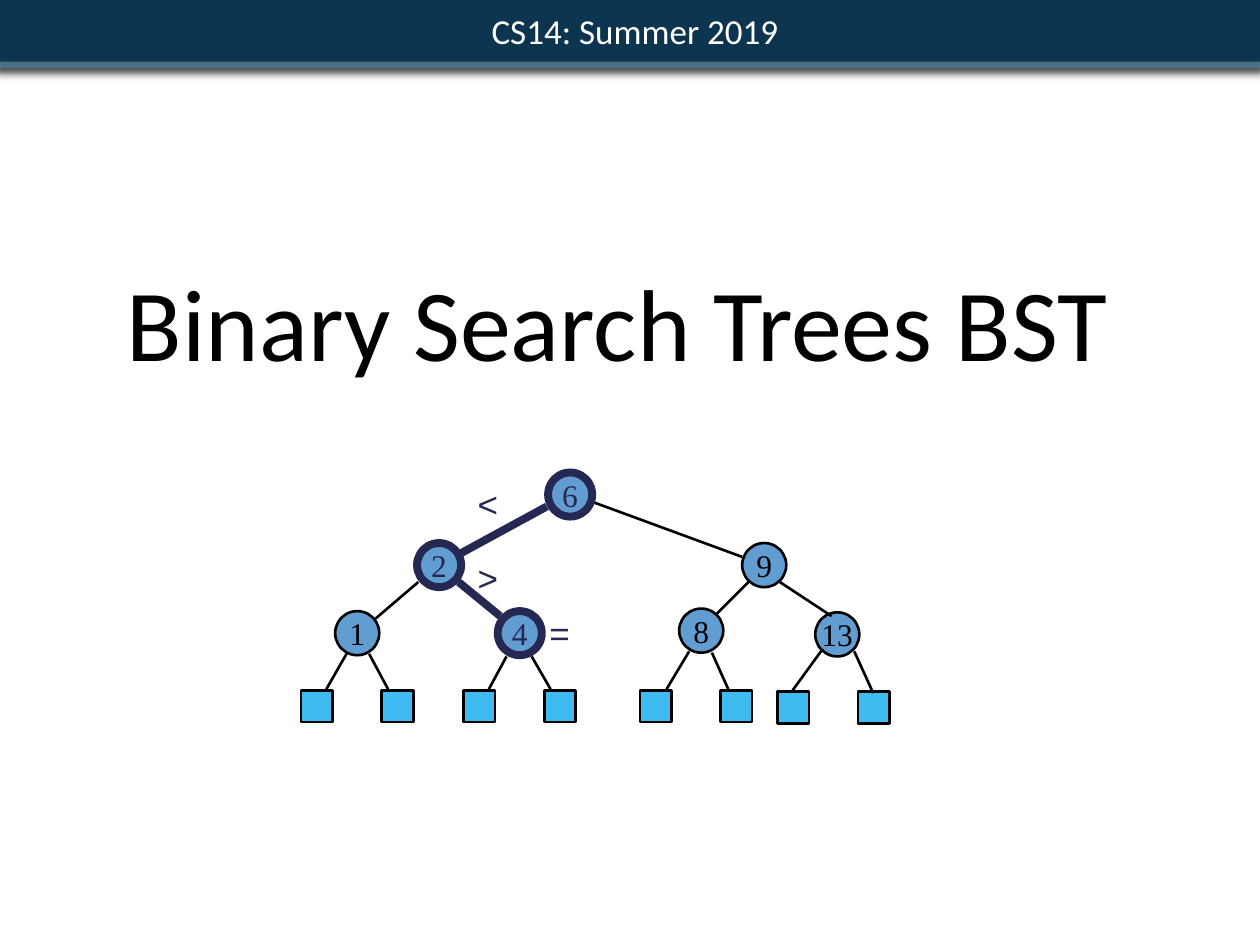
from lxml import etree
from pptx import Presentation
from pptx import util as u
from pptx.dml.color import RGBColor
from pptx.enum import shapes, text
from pptx.oxml.ns import qn

deck = Presentation()
deck.slide_width, deck.slide_height = u.Inches(10), u.Inches(7.5)
slide = deck.slides.add_slide(deck.slide_layouts[5])
CELL = deck.slide_width // 100
NAVY, BLACK = "242852", "000000"


def color(value):
    return RGBColor.from_string(value)


def cells(*counts):
    return [round(count * CELL) for count in counts]


bands = [
    ((-0.4, 0, 100.7, 5.4), "427A92", 100, BLACK, 75),
    ((-0.1, 0, 100.3, 4.9), "062F4B", 90, "5E5E5E", 50),
]
for place, fill, opacity, shade, strength in bands:
    banner = slide.shapes.add_shape(shapes.MSO_SHAPE.RECTANGLE, *cells(*place))
    banner.fill.solid()
    banner.fill.fore_color.rgb = color(fill)
    banner.line.fill.background()
    if opacity < 100:
        tint = banner._element.spPr.find(".//" + qn("a:srgbClr"))
        etree.SubElement(tint, qn("a:alpha"), val=str(opacity * 1000))
    effects = etree.SubElement(banner._element.spPr, qn("a:effectLst"))
    shadow = etree.SubElement(
        effects, qn("a:outerShdw"), blurRad=str(u.Pt(5)), dist=str(u.Pt(2)),
        dir="5400000", rotWithShape="0")
    shadow_color = etree.SubElement(shadow, qn("a:srgbClr"), val=shade)
    etree.SubElement(shadow_color, qn("a:alpha"), val=str(strength * 1000))

course = banner.text_frame
course.text = "CS14: Summer 2019"
course.vertical_anchor = text.MSO_ANCHOR.MIDDLE
course.margin_left, course.margin_right, course.margin_top, course.margin_bottom = cells(1.3, 0.6, 0.6, 0.6)
course.paragraphs[0].alignment = text.PP_ALIGN.CENTER
font = course.paragraphs[0].font
font.name, font.size, font.color.rgb = "Calibri", u.Pt(20), color("FFFFFF")

title = slide.shapes.title
title.left, title.top, title.width, title.height = cells(6.5, 18.3, 85, 12.5)
heading = title.text_frame
heading.text = "Binary Search Trees BST"
heading.auto_size = text.MSO_AUTO_SIZE.NONE
heading.word_wrap = True
heading.vertical_anchor = text.MSO_ANCHOR.BOTTOM
heading.margin_left, heading.margin_right, heading.margin_top, heading.margin_bottom = cells(0.5, 0.5, 0.5, 0.5)
heading.paragraphs[0].alignment = text.PP_ALIGN.CENTER
font = heading.paragraphs[0].font
font.name, font.size, font.color.rgb = "Calibri", u.Pt(58.3), color(BLACK)

nodes = [
    ("6", 43.5, 37.5, True), ("2", 33.1, 43.1, True), ("9", 58.9, 43.1, False),
    ("1", 26.6, 48.5, False), ("4", 39.5, 48.5, True), ("8", 53.9, 48.3, False),
    ("13", 64.7, 48.6, False),
]
for key, left, top, visited in nodes:
    node = slide.shapes.add_shape(shapes.MSO_SHAPE.OVAL, *cells(left, top, 3.5, 3.5))
    node.shadow.inherit = False
    node.fill.solid()
    node.fill.fore_color.rgb = color("629DD1")
    ink = color(NAVY if visited else BLACK)
    node.line.color.rgb, node.line.width = ink, u.Pt(4.5 if visited else 1.5)
    label = node.text_frame
    label.text = key
    label.word_wrap = False
    label.vertical_anchor = text.MSO_ANCHOR.MIDDLE
    label.margin_left = label.margin_right = label.margin_top = label.margin_bottom = 0
    label.paragraphs[0].alignment = text.PP_ALIGN.CENTER
    font = label.paragraphs[0].font
    font.name, font.size, font.color.rgb = "Times New Roman", u.Pt(18), ink

for first_leaf, top in [(23.9, 54.8), (36.8, 54.8), (50.8, 54.8), (61.7, 54.9)]:
    for left in (first_leaf, first_leaf + 6.4):
        leaf = slide.shapes.add_shape(shapes.MSO_SHAPE.RECTANGLE, *cells(left, top, 2.5, 2.5))
        leaf.shadow.inherit = False
        leaf.fill.solid()
        leaf.fill.fore_color.rgb = color("3EBBF0")
        leaf.line.color.rgb, leaf.line.width = color(BLACK), u.Pt(1.5)

search_path = [(43.4, 40.2, 36.6, 43.9), (36.4, 46.2, 39.7, 48.9)]
other_edges = [
    (47.2, 39.9, 58.9, 44.2), (33.2, 46.2, 29.8, 49.1),
    (59.4, 46.2, 56.9, 48.7), (61.9, 46.2, 66, 48.9),
    (27.5, 51.9, 25.9, 54.7), (29.3, 51.9, 30.8, 54.7),
    (40.2, 52.1, 38.8, 54.7), (42.2, 52.1, 43.7, 54.7),
    (54.7, 51.7, 52.9, 54.7), (56.5, 51.8, 57.8, 54.7),
    (65.3, 51.5, 62.9, 54.8), (67.8, 51.7, 69.3, 55),
]
for edges, ink, weight in [(search_path, NAVY, 4.5), (other_edges, BLACK, 1.5)]:
    for ends in edges:
        edge = slide.shapes.add_connector(shapes.MSO_CONNECTOR.STRAIGHT, *cells(*ends))
        edge.line.color.rgb, edge.line.width = color(ink), u.Pt(weight)
        etree.SubElement(edge._element.spPr, qn("a:effectLst"))

for sign, left, top in [("<", 37.4, 37.8), (">", 37.4, 43.7), ("=", 43.1, 48)]:
    comparison = slide.shapes.add_textbox(*cells(left, top, 2.7, 3.8)).text_frame
    comparison.text = sign
    comparison.word_wrap = False
    comparison.margin_left, comparison.margin_right, comparison.margin_top, comparison.margin_bottom = cells(
        0.5, 0.5, 0.5, 0.5)
    font = comparison.paragraphs[0].font
    font.name, font.size, font.color.rgb = "Arial", u.Pt(20), color(NAVY)

deck.save("out.pptx")
